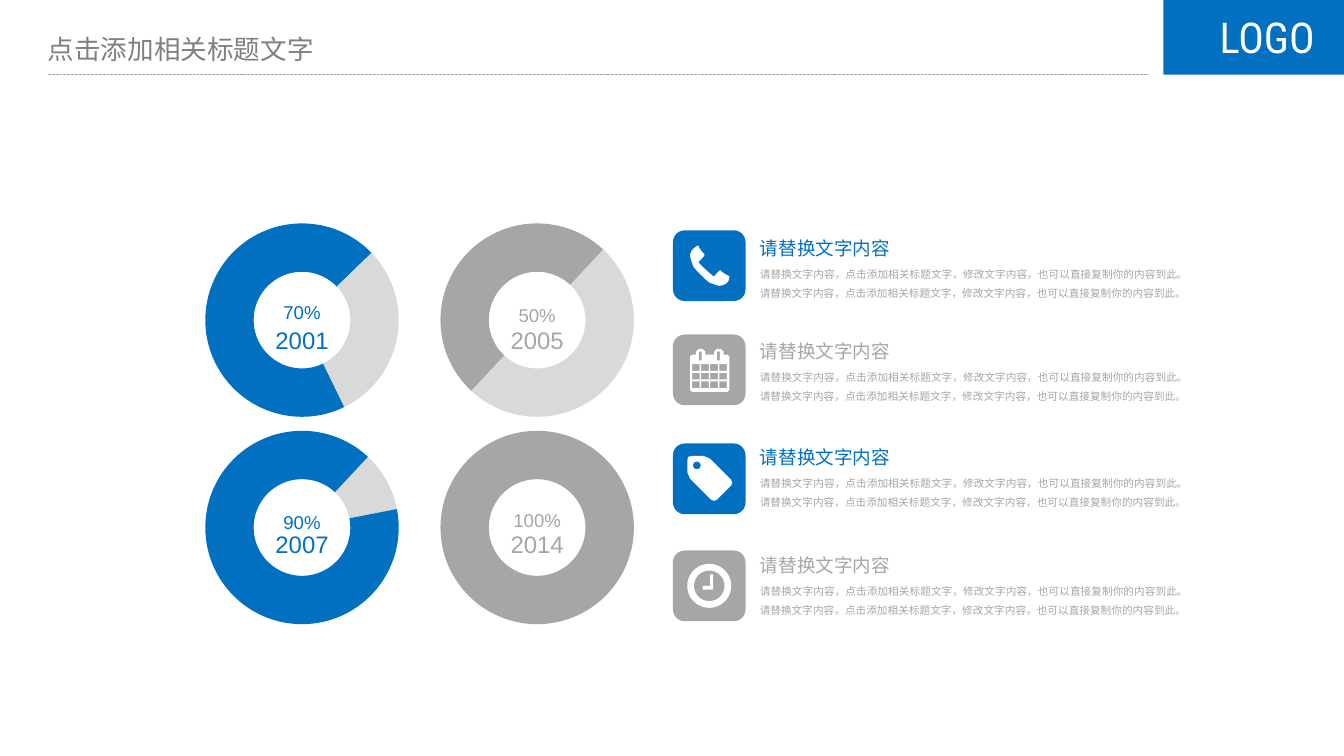
import math
from dataclasses import dataclass

import pptx
import pptx.chart.data
import pptx.dml.color
import pptx.enum.chart
import pptx.enum.dml
import pptx.enum.shapes
import pptx.enum.text
import pptx.util
from lxml import etree

Inches = pptx.util.Inches
Pt = pptx.util.Pt
ALIGN = pptx.enum.text.PP_ALIGN
ANCHOR = pptx.enum.text.MSO_ANCHOR
SHAPE = pptx.enum.shapes.MSO_SHAPE
Contour = list[tuple[float, float]]

COLORS = {"blue": "0170C1", "gray": "A6A6A6", "light": "D9D9D9",
          "title": "808080", "white": "FFFFFF"}
HEADING = "请替换文字内容"
BODY = "请替换文字内容，点击添加相关标题文字，修改文字内容，也可以直接复制你的内容到此。" * 2


@dataclass
class Ring:
    left: float
    top: float
    start: int
    values: tuple[int, int]
    colors: tuple[str, str]
    percent: str
    percent_top: float
    year: str
    year_top: float
    color: str


@dataclass
class Topic:
    tile_top: float
    text_top: float
    color: str
    icon: list[Contour]


def rgb(name: str) -> pptx.dml.color.RGBColor:
    return pptx.dml.color.RGBColor.from_string(COLORS[name])


def circle(x: float, y: float, radius: float) -> Contour:
    angles = [math.tau * step / 48 for step in range(48)]
    return [(x + radius * math.cos(a), y + radius * math.sin(a)) for a in angles]


def box_outline(x: float, y: float, width: float, height: float) -> Contour:
    return [(x, y), (x + width, y), (x + width, y + height), (x, y + height)]


def smooth_outline(points: Contour, steps: int = 4) -> Contour:
    curve = []
    for index in range(len(points)):
        a, b, c, d = (points[(index + k) % len(points)] for k in range(4))
        for step in range(steps):
            t = step / steps
            x, y = (b[i] + t * (c[i] - a[i]) / 2
                    + t**2 * (2 * a[i] - 5 * b[i] + 4 * c[i] - d[i]) / 2
                    + t**3 * (3 * b[i] - a[i] - 3 * c[i] + d[i]) / 2 for i in (0, 1))
            curve.append((x, y))
    return curve


def calendar_icon() -> list[Contour]:
    outline = [(0.18, 0.23), (0.2, 0.21)]
    for x in (0.24, 0.43):
        outline += [(x, 0.21), (x, 0.18), (x + 0.03, 0.15),
                    (x + 0.07, 0.15), (x + 0.1, 0.18), (x + 0.1, 0.21)]
    outline += [(0.57, 0.21), (0.59, 0.23), (0.59, 0.58),
                (0.57, 0.6), (0.2, 0.6), (0.18, 0.58)]
    slots = [box_outline(x, 0.18, 0.03, 0.09) for x in (0.27, 0.46)]
    days = [box_outline(0.2 + 0.38 * column / 4, 0.31 + 0.09 * row, 0.08, 0.07)
            for row in range(3) for column in range(4)]
    return [outline, *slots, *days]


PHONE = [smooth_outline([
    (0.58, 0.53), (0.55, 0.56), (0.49, 0.58), (0.42, 0.56), (0.36, 0.53), (0.23, 0.4),
    (0.2, 0.34), (0.18, 0.26), (0.2, 0.21), (0.23, 0.18), (0.26, 0.16), (0.27, 0.17),
    (0.28, 0.19), (0.31, 0.23), (0.33, 0.26), (0.28, 0.32), (0.28, 0.35), (0.41, 0.47),
    (0.43, 0.48), (0.49, 0.42), (0.52, 0.44), (0.57, 0.47), (0.59, 0.48), (0.59, 0.49)])]
TAG = [[(0.61, 0.44), (0.46, 0.59), (0.43, 0.6), (0.4, 0.59), (0.18, 0.37), (0.15, 0.3),
        (0.15, 0.18), (0.16, 0.14), (0.2, 0.13), (0.32, 0.13), (0.39, 0.16),
        (0.61, 0.38), (0.62, 0.41)], circle(0.25, 0.23, 0.04)]
CLOCK = [circle(0.38, 0.37, 0.23), circle(0.38, 0.37, 0.16),
         [(0.39, 0.25), (0.42, 0.25), (0.42, 0.41), (0.31, 0.41), (0.31, 0.37), (0.39, 0.37)]]

RINGS = [
    Ring(2.01, 2.13, 154, (70, 30), ("blue", "light"), "70%", 3.1, "2001", 3.41, "blue"),
    Ring(4.47, 2.13, 43, (50, 50), ("light", "gray"), "50%", 3.13, "2005", 3.41, "gray"),
    Ring(2.01, 4.3, 43, (10, 90), ("light", "blue"), "90%", 5.29, "2007", 5.54, "blue"),
    Ring(4.47, 4.3, 43, (0, 100), ("gray", "gray"), "100%", 5.27, "2014", 5.54, "gray"),
]
TOPICS = [
    Topic(2.41, 2.31, "blue", PHONE),
    Topic(3.5, 3.39, "gray", calendar_icon()),
    Topic(4.64, 4.5, "blue", TAG),
    Topic(5.76, 5.63, "gray", CLOCK),
]


def style_para(para, text: str, size: float, color: str, align, font: str = "Arial") -> None:
    para.text = text
    para.alignment = align
    para.font.size = Pt(size)
    para.font.name = font
    para.font.color.rgb = rgb(color)


def add_text(shapes, left: float, top: float, width: float, height: float):
    frame = shapes.add_textbox(Inches(left), Inches(top), Inches(width), Inches(height)).text_frame
    frame.word_wrap = True
    return frame


def paint(shape, color: str) -> None:
    shape.shadow.inherit = False
    shape.fill.solid()
    shape.fill.fore_color.rgb = rgb(color)
    shape.line.fill.background()


def add_ring(page, ring: Ring) -> None:
    data = pptx.chart.data.CategoryChartData()
    data.categories = ["1", "2"]
    data.add_series("Series 1", ring.values)
    chart = page.shapes.add_chart(
        pptx.enum.chart.XL_CHART_TYPE.DOUGHNUT, Inches(ring.left), Inches(ring.top),
        Inches(2.3), Inches(2.44), data).chart
    chart.has_title = False
    chart.has_legend = False
    chart.font.size = Pt(18)
    chart.font.name = "Arial"
    plot = chart.plots[0]
    plot.vary_by_categories = True
    for index, color in enumerate(ring.colors):
        style = plot.series[0].points[index].format
        style.fill.solid()
        style.fill.fore_color.rgb = rgb(color)
        style.line.fill.background()
    area = chart.element.find(".//{*}plotArea")
    area.find(".//{*}firstSliceAng").set("val", str(ring.start))
    area.find(".//{*}holeSize").set("val", "70")
    namespace = etree.QName(area).namespace
    for old in area.findall("{*}layout"):
        area.remove(old)
    layout = etree.Element(f"{{{namespace}}}layout")
    manual = etree.SubElement(layout, f"{{{namespace}}}manualLayout")
    for tag, value in (("layoutTarget", "inner"), ("xMode", "edge"), ("yMode", "edge"),
                       ("x", "0.06"), ("y", "0.08"), ("w", "0.88"), ("h", "0.84")):
        etree.SubElement(manual, f"{{{namespace}}}{tag}").set("val", value)
    area.insert(0, layout)

    center = ring.left + 1.15
    percent = add_text(page.shapes, center - 0.6, ring.percent_top, 1.2, 0.34)
    percent.vertical_anchor = ANCHOR.MIDDLE
    style_para(percent.paragraphs[0], ring.percent, 14, ring.color, ALIGN.CENTER)
    year = add_text(page.shapes, center - 0.28, ring.year_top, 0.56, 0.3)
    year.word_wrap = False
    year.margin_left = year.margin_right = year.margin_top = year.margin_bottom = 0
    style_para(year.paragraphs[0], ring.year, 18, ring.color, ALIGN.CENTER)


def add_topic(page, topic: Topic) -> None:
    shapes = page.shapes.add_group_shape().shapes
    left = 7.04
    paint(shapes.add_shape(SHAPE.ROUNDED_RECTANGLE, Inches(left), Inches(topic.tile_top),
                           Inches(0.76), Inches(0.74)), topic.color)
    contours = [[(Inches(left + x), Inches(topic.tile_top + y)) for x, y in contour]
                for contour in topic.icon]
    builder = shapes.build_freeform(*contours[0][0])
    builder.add_line_segments(contours[0][1:])
    for contour in contours[1:]:
        builder.move_to(*contour[0])
        builder.add_line_segments(contour[1:])
    paint(builder.convert_to_shape(), "white")

    frame = add_text(page.shapes, 7.85, topic.text_top, 4.68, 0.89)
    heading, body = frame.paragraphs[0], frame.add_paragraph()
    style_para(heading, HEADING, 14, topic.color, ALIGN.JUSTIFY)
    style_para(body, BODY, 8, "gray", ALIGN.JUSTIFY)
    heading.line_spacing = body.line_spacing = 1.5
    body.space_before = Pt(2)


def add_header(page) -> None:
    title = page.shapes.title
    title.left, title.top, title.width, title.height = (
        Inches(0.4), Inches(0.29), Inches(3.35), Inches(0.41))
    title.text_frame.vertical_anchor = ANCHOR.TOP
    title.text_frame.auto_size = pptx.enum.text.MSO_AUTO_SIZE.NONE
    style_para(title.text_frame.paragraphs[0], "点击添加相关标题文字", 20, "title",
               ALIGN.LEFT, "Noto Sans CJK SC")
    rule = page.shapes.add_connector(pptx.enum.shapes.MSO_CONNECTOR.STRAIGHT,
                                     Inches(0.5), Inches(0.78), Inches(12.01), Inches(0.78))
    rule.line.color.rgb = rgb("gray")
    rule.line.width = Pt(0.75)
    rule.line.dash_style = pptx.enum.dml.MSO_LINE.SQUARE_DOT
    properties = rule.element.spPr
    etree.SubElement(properties, f"{{{etree.QName(properties[0]).namespace}}}effectLst")
    shapes = page.shapes.add_group_shape().shapes
    paint(shapes.add_shape(SHAPE.RECTANGLE, Inches(12.17), 0, Inches(1.89), Inches(0.78)), "blue")
    logo = add_text(shapes, 12.66, 0.07, 1.3, 0.58)
    style_para(logo.paragraphs[0], "LOGO", 32, "white", ALIGN.LEFT, "Roboto Condensed")


def main() -> None:
    deck = pptx.Presentation()
    deck.slide_width, deck.slide_height = Inches(14.06), Inches(7.91)
    page = deck.slides.add_slide(deck.slide_layouts[5])
    for ring in RINGS:
        add_ring(page, ring)
    for topic in TOPICS:
        add_topic(page, topic)
    add_header(page)
    deck.save("out.pptx")


if __name__ == "__main__":
    main()
